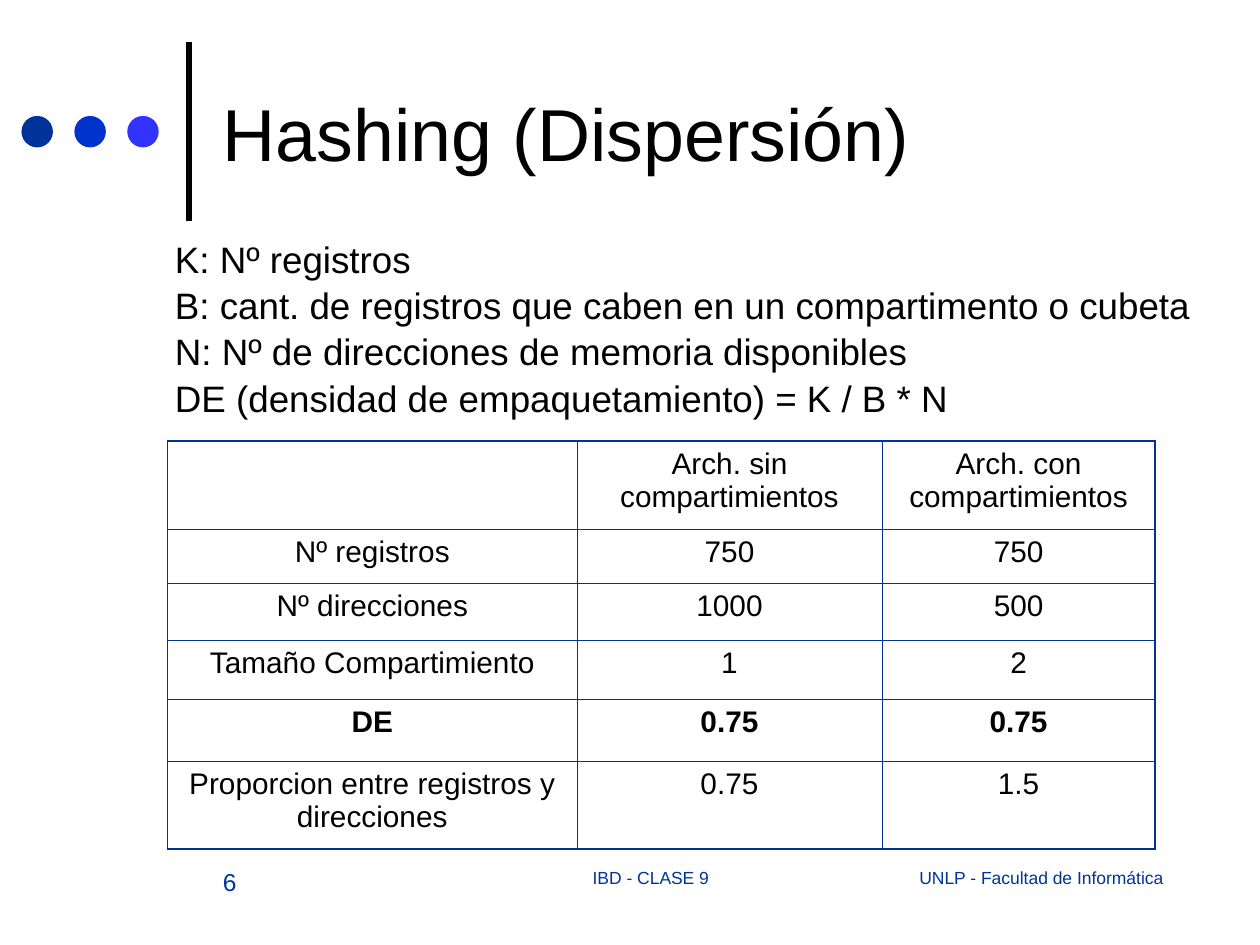
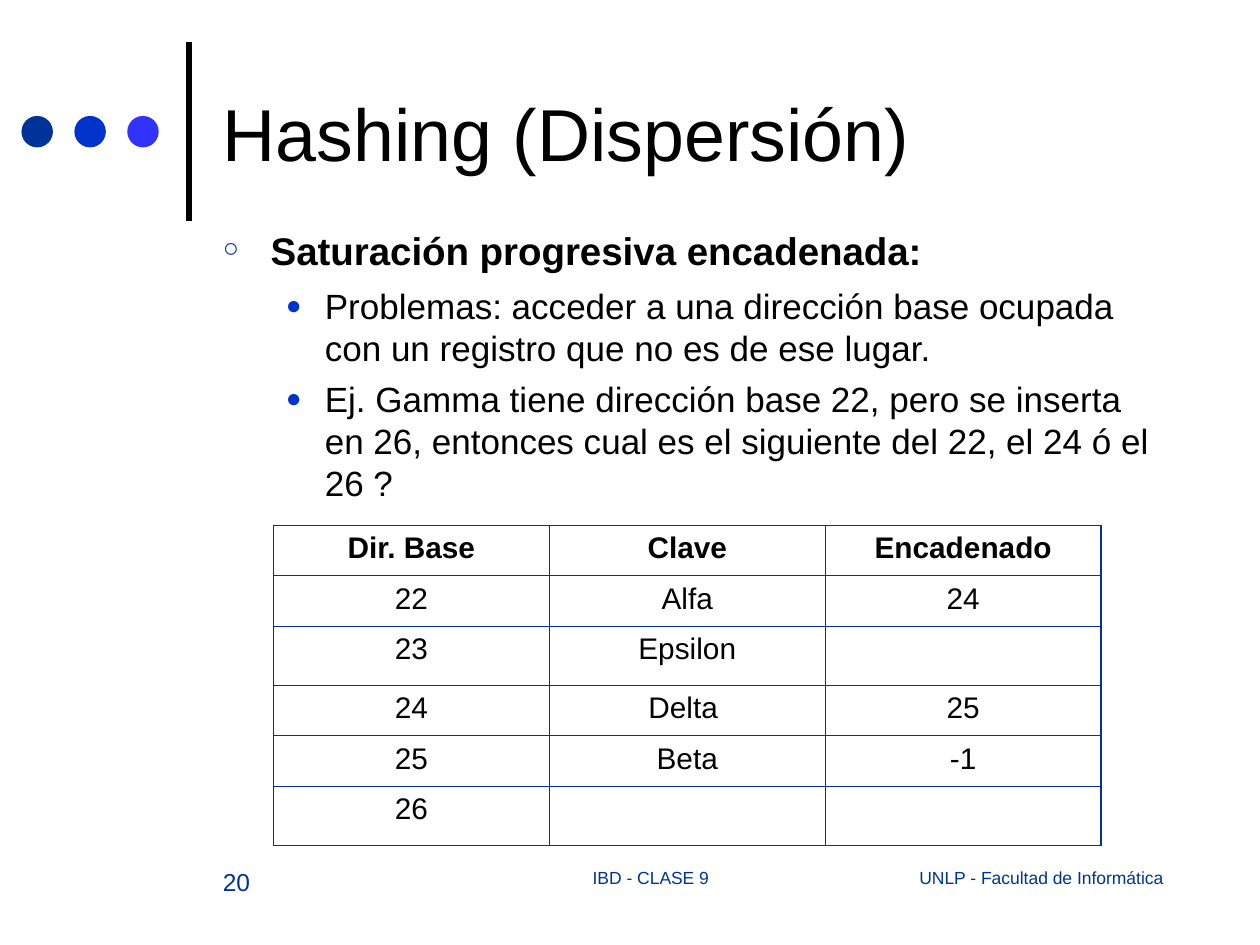
"""Build two lecture slides on hashing, each with a text body and a ruled table."""
from lxml.etree import SubElement
from pptx import Presentation
from pptx.dml.color import RGBColor
from pptx.enum.shapes import MSO_CONNECTOR, MSO_SHAPE
from pptx.enum.text import MSO_ANCHOR, PP_ALIGN as Align
from pptx.oxml.ns import qn
from pptx.util import Inches, Pt

COLORS = {"navy": "003399", "blue": "0033CC", "violet": "3333FF", "black": "000000"}
FONT = "Arial"
TITLE = "Hashing (Dispersión)"
COURSE = "IBD - CLASE 9"
SCHOOL = "UNLP - Facultad de Informática"
OUTER, INNER = 1.08, 0.45

PLAIN = {"indent": (0.38, -0.38), "before": 1.2}
TOPIC = {"indent": (0.38, -0.38), "before": 6.5, "spacing": 0.9, "bullet": ("○", "navy", 70)}
POINT = {"indent": (0.81, -0.31), "before": 5, "bullet": ("●", "blue", 75)}

SLIDES = [
    {
        "number": "6",
        "body_at": (1.29, 1.83, 8.5, 4.87),
        "body": [
            (PLAIN, [("K: Nº registros", 21, False)]),
            (PLAIN, [("B: cant. de registros que caben en un compartimento o cubeta", 21, False)]),
            (PLAIN, [("N: Nº de direcciones de memoria disponibles", 21, False)]),
            (PLAIN, [("DE (densidad de empaquetamiento) = K / B * N", 21, False)]),
        ],
        "table_at": (1.33, 3.5),
        "columns": [3.25, 2.42, 2.17],
        "heights": [0.7, 0.43, 0.45, 0.47, 0.49, 0.7],
        "bold_row": 4,
        "rows": [
            ("", "Arch. sin compartimientos", "Arch. con compartimientos"),
            ("Nº registros", "750", "750"),
            ("Nº direcciones", "1000", "500"),
            ("Tamaño Compartimiento", "1", "2"),
            ("DE", "0.75", "0.75"),
            ("Proporcion entre registros y direcciones", "0.75", "1.5"),
        ],
    },
    {
        "number": "20",
        "body_at": (1.67, 1.75, 7.67, 4.5),
        "body": [
            (TOPIC, [("Saturación progresiva encadenada:", 22, True), (" ", 26, False)]),
            (POINT, [("Problemas: acceder a una dirección base ocupada con un registro "
                      "que no es de ese lugar.", 20, False)]),
            (POINT, [("Ej. Gamma tiene dirección base 22, pero se inserta en 26, entonces "
                      "cual es el siguiente del 22, el 24 ó el 26 ?", 20, False)]),
        ],
        "table_at": (2.17, 4.17),
        "columns": [2.19] * 3,
        "heights": [0.4, 0.4, 0.47] * 2,
        "bold_row": 0,
        "rows": [
            ("Dir. Base", "Clave", "Encadenado"),
            ("22", "Alfa", "24"),
            ("23", "Epsilon", ""),
            ("24", "Delta ", "25"),
            ("25", "Beta", "-1"),
            ("26", "", ""),
        ],
    },
]


def rgb(name):
    return RGBColor.from_string(COLORS[name])


def add_span(para, text, size, color="black", bold=False):
    span = para.add_run()
    span.text = text
    span.font.name = FONT
    span.font.size = Pt(size)
    span.font.bold = bold
    span.font.color.rgb = rgb(color)


def add_frame(page, place, anchor=MSO_ANCHOR.TOP):
    frame = page.shapes.add_textbox(*map(Inches, place)).text_frame
    frame.word_wrap = True
    frame.vertical_anchor = anchor
    return frame


def add_label(page, place, text, size, color, align=Align.LEFT, anchor=MSO_ANCHOR.TOP):
    para = add_frame(page, place, anchor).paragraphs[0]
    para.alignment = align
    add_span(para, text, size, color)


def add_decoration(page):
    rule = page.shapes.add_connector(
        MSO_CONNECTOR.STRAIGHT, Inches(1.5), Inches(1.75), Inches(1.5), Inches(0.33))
    rule.line.color.rgb = rgb("black")
    rule.line.width = Pt(3)
    SubElement(rule._element.spPr, qn("a:effectLst"))
    for index, color in enumerate(("navy", "blue", "violet")):
        dot = page.shapes.add_shape(
            MSO_SHAPE.OVAL, Inches(0.17 + 0.42 * index), Inches(0.92), Inches(0.25), Inches(0.25))
        dot.shadow.inherit = False
        dot.fill.solid()
        dot.fill.fore_color.rgb = rgb(color)
        dot.line.fill.background()


def style_paragraph(para, style):
    para.space_before = Pt(style["before"])
    para.line_spacing = style.get("spacing", 1.0)
    props = para._p.get_or_add_pPr()
    left, first = style["indent"]
    props.set("marL", str(Inches(left)))
    props.set("indent", str(Inches(first)))
    if "bullet" in style:
        symbol, color, percent = style["bullet"]
        SubElement(SubElement(props, qn("a:buClr")), qn("a:srgbClr"), val=COLORS[color])
        SubElement(props, qn("a:buSzPct"), val=str(percent * 1000))
        SubElement(props, qn("a:buFont"), typeface=FONT)
        SubElement(props, qn("a:buChar"), char=symbol)


def add_body(page, place, paragraphs):
    frame = add_frame(page, place)
    for index, (style, spans) in enumerate(paragraphs):
        para = frame.add_paragraph() if index else frame.paragraphs[0]
        style_paragraph(para, style)
        for text, size, bold in spans:
            add_span(para, text, size, bold=bold)


def set_borders(cell, outer_sides):
    props = cell._tc.get_or_add_tcPr()
    for side, is_outer in outer_sides.items():
        width = Pt(OUTER if is_outer else INNER)
        edge = SubElement(props, qn("a:ln" + side), w=str(width))
        SubElement(SubElement(edge, qn("a:solidFill")), qn("a:srgbClr"), val=COLORS["navy"])


def add_grid(page, place, columns, heights, rows, bold_row):
    size = sum(columns), sum(heights)
    grid = page.shapes.add_table(len(rows), len(columns), *map(Inches, place + size)).table
    grid.first_row = grid.horz_banding = False
    for column, width in zip(grid.columns, columns):
        column.width = Inches(width)
    for row, height in zip(grid.rows, heights):
        row.height = Inches(height)
    for row_index, texts in enumerate(rows):
        for column_index, text in enumerate(texts):
            cell = grid.cell(row_index, column_index)
            set_borders(cell, {
                "L": column_index == 0,
                "R": column_index == len(columns) - 1,
                "T": row_index == 0,
                "B": row_index == len(rows) - 1,
            })
            cell.fill.background()
            if text:
                para = cell.text_frame.paragraphs[0]
                para.alignment = Align.CENTER
                para.space_before = Pt(4.2)
                add_span(para, text, 17, bold=row_index == bold_row)


def build_page(deck, content):
    page = deck.slides.add_slide(deck.slide_layouts[6])
    add_decoration(page)
    add_label(page, (1.67, 0.21, 7.67, 1.67), TITLE, 42, "black", anchor=MSO_ANCHOR.MIDDLE)
    add_body(page, content["body_at"], content["body"])
    add_grid(page, content["table_at"], content["columns"], content["heights"],
             content["rows"], content["bold_row"])
    add_label(page, (3.58, 6.83, 3.17, 0.5), COURSE, 10, "navy", Align.CENTER)
    add_label(page, (1.67, 6.83, 1.42, 0.5), content["number"], 14, "navy")
    add_label(page, (6.65, 6.83, 2.68, 0.5), SCHOOL, 10, "navy", Align.RIGHT)


def main():
    deck = Presentation()
    deck.slide_width, deck.slide_height = Inches(10), Inches(7.5)
    for content in SLIDES:
        build_page(deck, content)
    deck.save("out.pptx")


if __name__ == "__main__":
    main()
